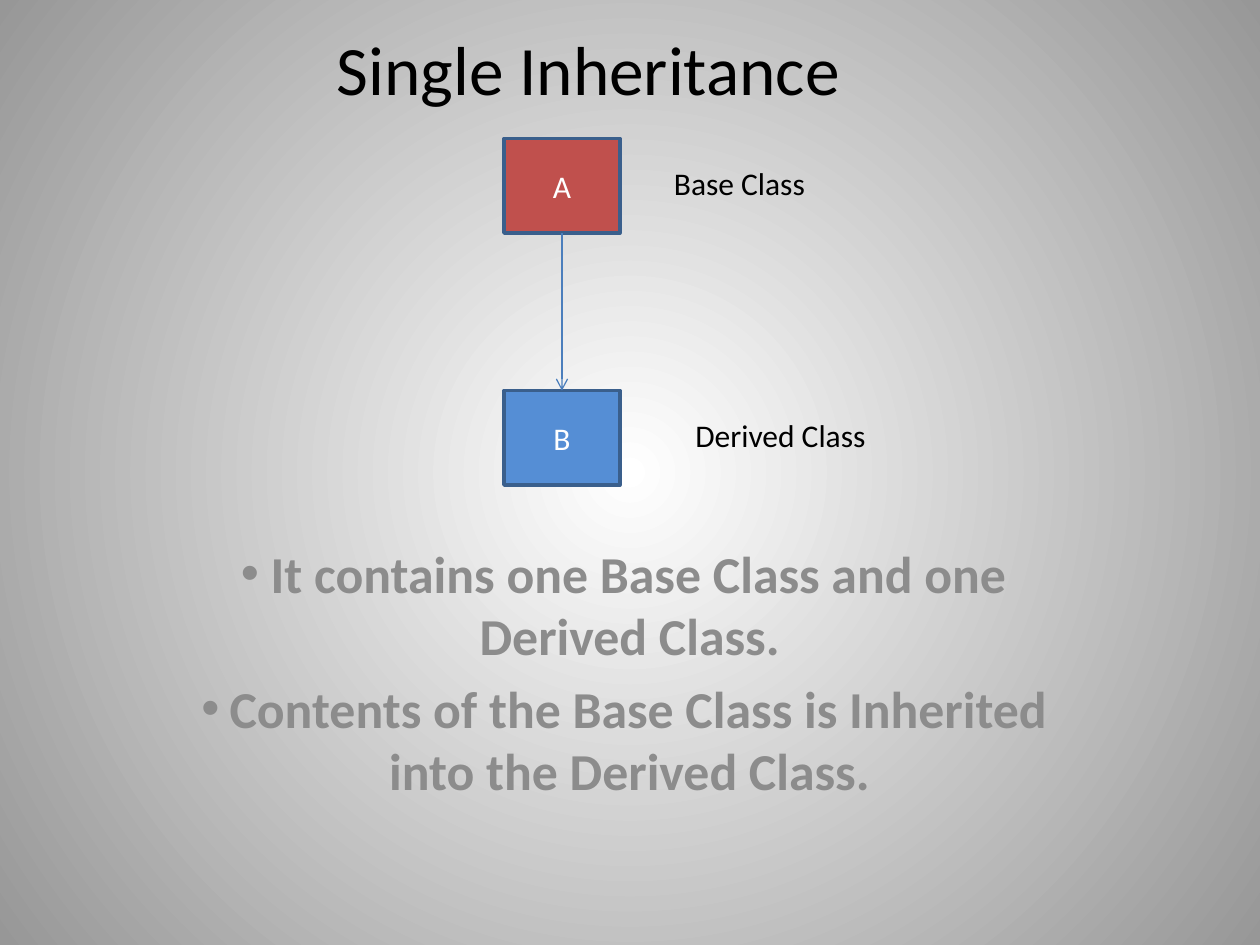
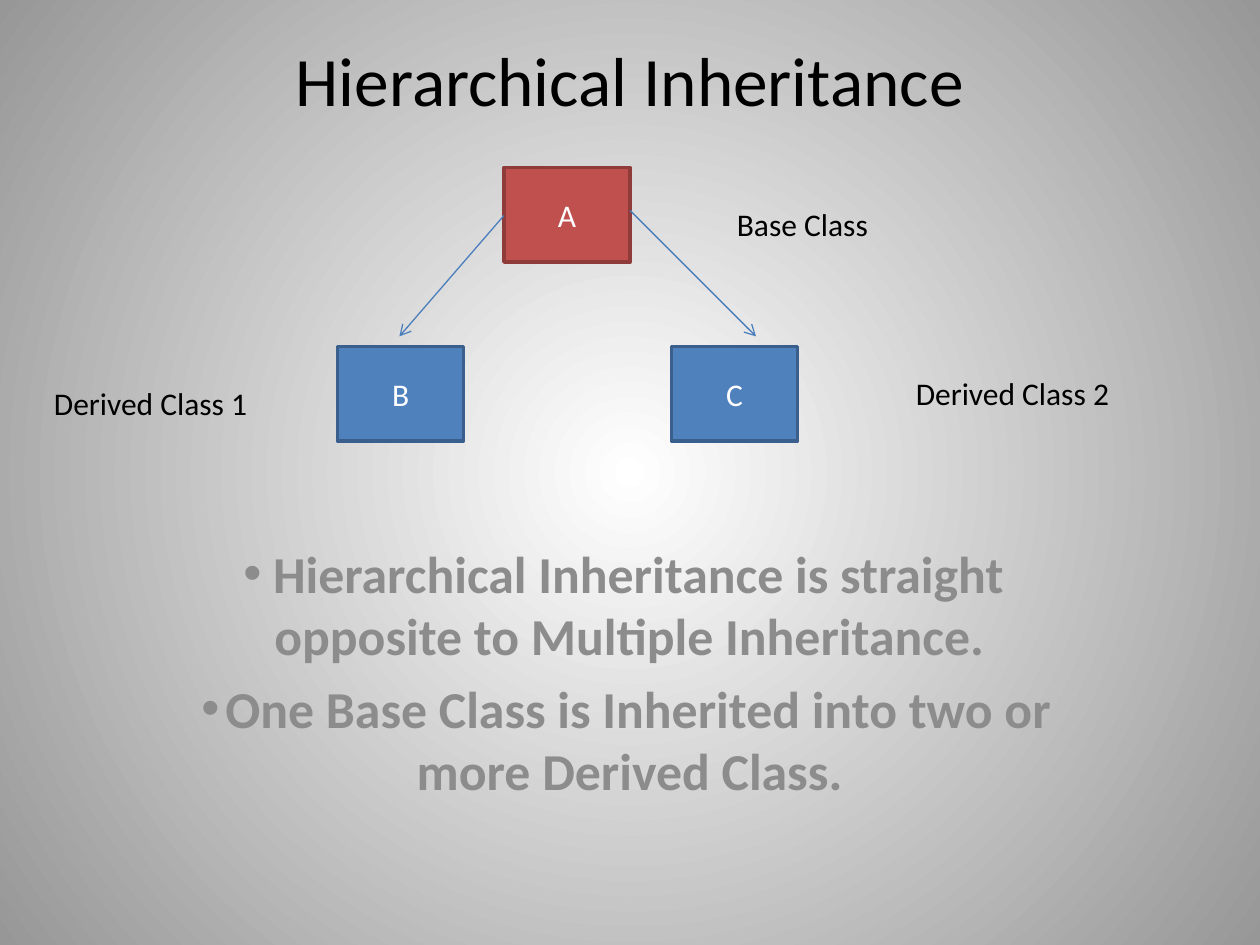
"""Two slides on class inheritance: a title, a class diagram and two bullets each."""
from dataclasses import dataclass

from lxml import etree
from pptx import Presentation
from pptx.dml.color import RGBColor
from pptx.enum import shapes, text
from pptx.oxml import ns, parse_xml
from pptx.util import Inches, Pt

FONT = "Calibri"
BLACK = RGBColor(0x00, 0x00, 0x00)
WHITE = RGBColor(0xFF, 0xFF, 0xFF)
EDGE_GRAY = RGBColor(0x97, 0x97, 0x97)
BODY_GRAY = RGBColor(0x8C, 0x8C, 0x8C)
RED = RGBColor(0xC0, 0x50, 0x4D)
DARK_RED = RGBColor(0x8E, 0x3B, 0x39)
BLUE = RGBColor(0x4F, 0x81, 0xBD)
LIGHT_BLUE = RGBColor(0x55, 0x8E, 0xD5)
DARK_BLUE = RGBColor(0x3A, 0x5F, 0x8C)
ARROW_BLUE = RGBColor(0x4B, 0x7E, 0xBC)
BOX_HEIGHT = 0.75


@dataclass
class ClassBox:
    """A class in the diagram; lengths in inches."""
    name: str
    left: float
    top: float
    fill: RGBColor
    line: RGBColor = DARK_BLUE


@dataclass
class Label:
    """A caption beside a class box."""
    caption: str
    left: float
    top: float


@dataclass
class Arrow:
    """An arrow from (x1, y1) to (x2, y2)."""
    x1: float
    y1: float
    x2: float
    y2: float


@dataclass
class Diagram:
    """The content of one slide."""
    title: str
    title_area: tuple[float, float, float, float]
    box_width: float
    label_width: float
    boxes: list[ClassBox]
    arrows: list[Arrow]
    labels: list[Label]
    bullets: list[str]


DIAGRAMS = [
    Diagram(
        "Single Inheritance", (0.42, 0.33, 8.5, 0.42), 0.92, 2.92,
        [ClassBox("A", 4, 1.1, RED), ClassBox("B", 4, 3.1, LIGHT_BLUE)],
        [Arrow(4.46, 1.85, 4.46, 3.1)],
        [Label("Base Class", 5.25, 1.25), Label("Derived Class", 5.42, 3.25)],
        ["It contains one Base Class and one Derived Class.",
         "Contents of the Base Class is Inherited into the Derived Class."]),
    Diagram(
        "Hierarchical Inheritance", (0.75, 0.25, 8.5, 0.75), 1, 2,
        [ClassBox("A", 4, 1.33, RED, DARK_RED),
         ClassBox("B", 2.68, 2.75, BLUE), ClassBox("C", 5.33, 2.75, BLUE)],
        [Arrow(4, 1.71, 3.17, 2.67), Arrow(5, 1.67, 6, 2.67)],
        [Label("Base Class", 5.75, 1.58), Label("Derived Class 1", 0.33, 3),
         Label("Derived Class 2", 7.17, 2.92)],
        ["Hierarchical Inheritance is straight opposite to Multiple Inheritance.",
         "One Base Class is Inherited into two or more Derived Class."]),
]


def write(tf, *lines: str, size: float = 18, color: RGBColor = BLACK,
          bold: bool = False, align=text.PP_ALIGN.CENTER,
          anchor=text.MSO_ANCHOR.MIDDLE, bullet: bool = False) -> None:
    """Fill a text frame with one formatted paragraph per line."""
    tf.word_wrap = True
    tf.auto_size = text.MSO_AUTO_SIZE.NONE
    tf.vertical_anchor = anchor
    for i, line in enumerate(lines):
        p = tf.add_paragraph() if i else tf.paragraphs[0]
        p.alignment = align
        r = p.add_run()
        r.text = line
        r.font.name, r.font.size, r.font.bold = FONT, Pt(size), bold
        r.font.color.rgb = color
        if bullet:
            p.space_before = Pt(size * 0.2)
            pPr = p._p.get_or_add_pPr()
            etree.SubElement(pPr, ns.qn("a:buFont"), typeface="Arial")
            etree.SubElement(pPr, ns.qn("a:buChar"), char="•")


def set_background(master) -> None:
    """Give every slide a radial gradient, light in the centre."""
    fill = master.background.fill
    fill.gradient()
    for stop, color in zip(fill.gradient_stops, (WHITE, EDGE_GRAY)):
        stop.color.rgb = color
    lin = master.element.cSld.find(".//" + ns.qn("a:lin"))
    lin.getparent().replace(lin, parse_xml(
        f'<a:path {ns.nsdecls("a")} path="circle">'
        '<a:fillToRect l="50000" t="50000" r="50000" b="50000"/></a:path>'))


def add_text(s, area: tuple[float, float, float, float], *lines: str, **style) -> None:
    """Add a text box at the given area."""
    tb = s.shapes.add_textbox(*map(Inches, area))
    write(tb.text_frame, *lines, anchor=text.MSO_ANCHOR.TOP, **style)


def add_box(s, box: ClassBox, width: float) -> None:
    """Draw a class as an outlined rectangle with its name."""
    sp = s.shapes.add_shape(shapes.MSO_SHAPE.RECTANGLE, *map(
        Inches, (box.left, box.top, width, BOX_HEIGHT)))
    sp.shadow.inherit = False
    sp.fill.solid()
    sp.fill.fore_color.rgb = box.fill
    sp.line.color.rgb = box.line
    sp.line.width = Pt(2)
    write(sp.text_frame, box.name, color=WHITE)


def add_arrow(s, arrow: Arrow) -> None:
    """Draw a thin line with an open arrowhead at its end."""
    c = s.shapes.add_connector(shapes.MSO_CONNECTOR.STRAIGHT, *map(
        Inches, (arrow.x1, arrow.y1, arrow.x2, arrow.y2)))
    c.line.color.rgb = ARROW_BLUE
    c.line.width = Pt(0.75)
    etree.SubElement(c.line._get_or_add_ln(), ns.qn("a:tailEnd"), type="arrow")
    etree.SubElement(c._element.spPr, ns.qn("a:effectLst"))


def add_slide(prs, d: Diagram) -> None:
    """Build one slide: title, bullets, then the class diagram."""
    s = prs.slides.add_slide(prs.slide_layouts[5])
    title = s.shapes.title
    title.left, title.top, title.width, title.height = map(Inches, d.title_area)
    write(title.text_frame, d.title, size=39.6)
    add_text(s, (1.5, 4.25, 7, 1.92), *d.bullets, size=29.6, color=BODY_GRAY,
             bold=True, bullet=True)
    for box in d.boxes:
        add_box(s, box, d.box_width)
    for arrow in d.arrows:
        add_arrow(s, arrow)
    for label in d.labels:
        add_text(s, (label.left, label.top, d.label_width, 0.4), label.caption,
                 align=text.PP_ALIGN.LEFT)


def main() -> None:
    """Create and save the presentation."""
    prs = Presentation()
    prs.slide_width, prs.slide_height = Inches(10), Inches(7.5)
    set_background(prs.slide_master)
    for d in DIAGRAMS:
        add_slide(prs, d)
    prs.save("out.pptx")


main()
